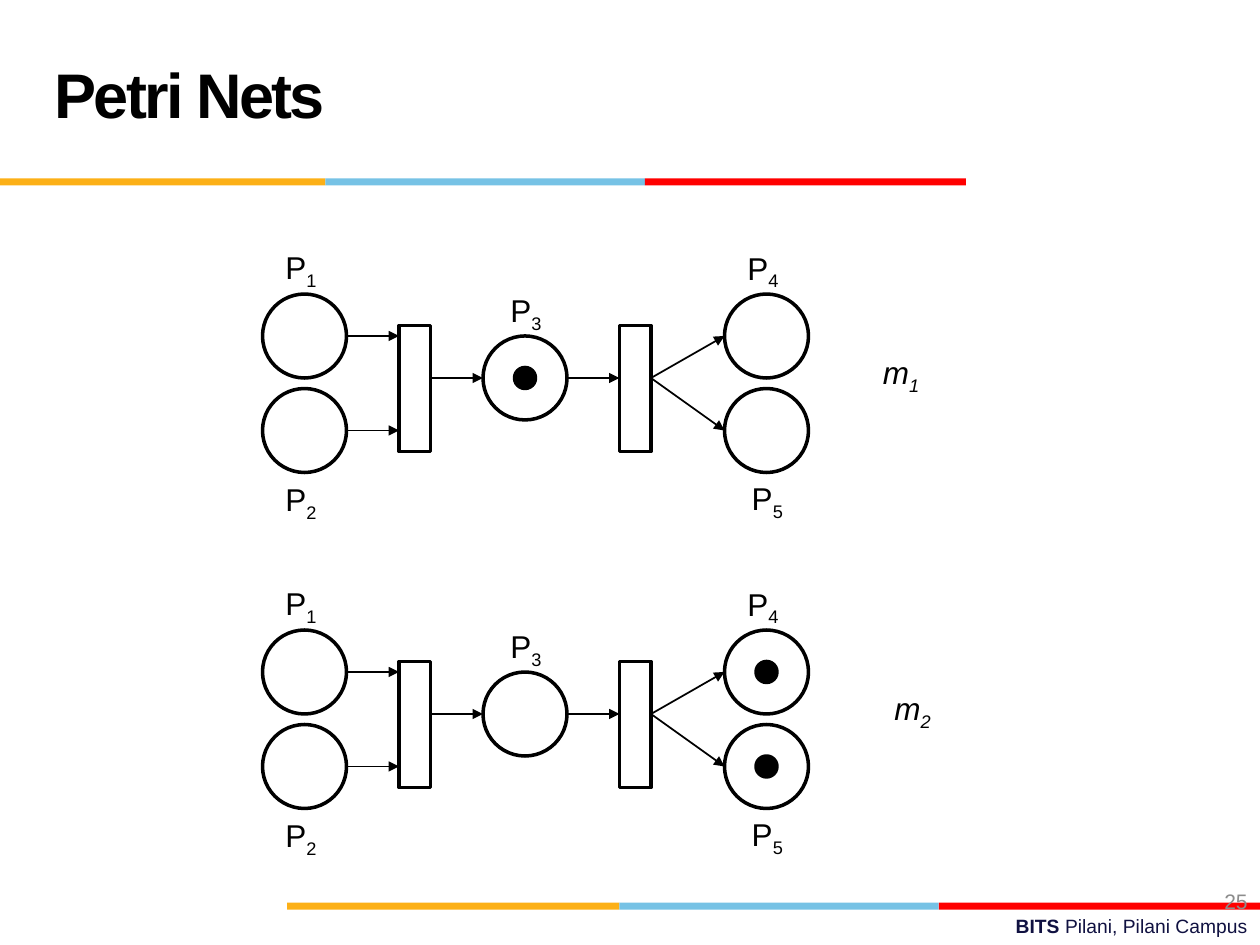
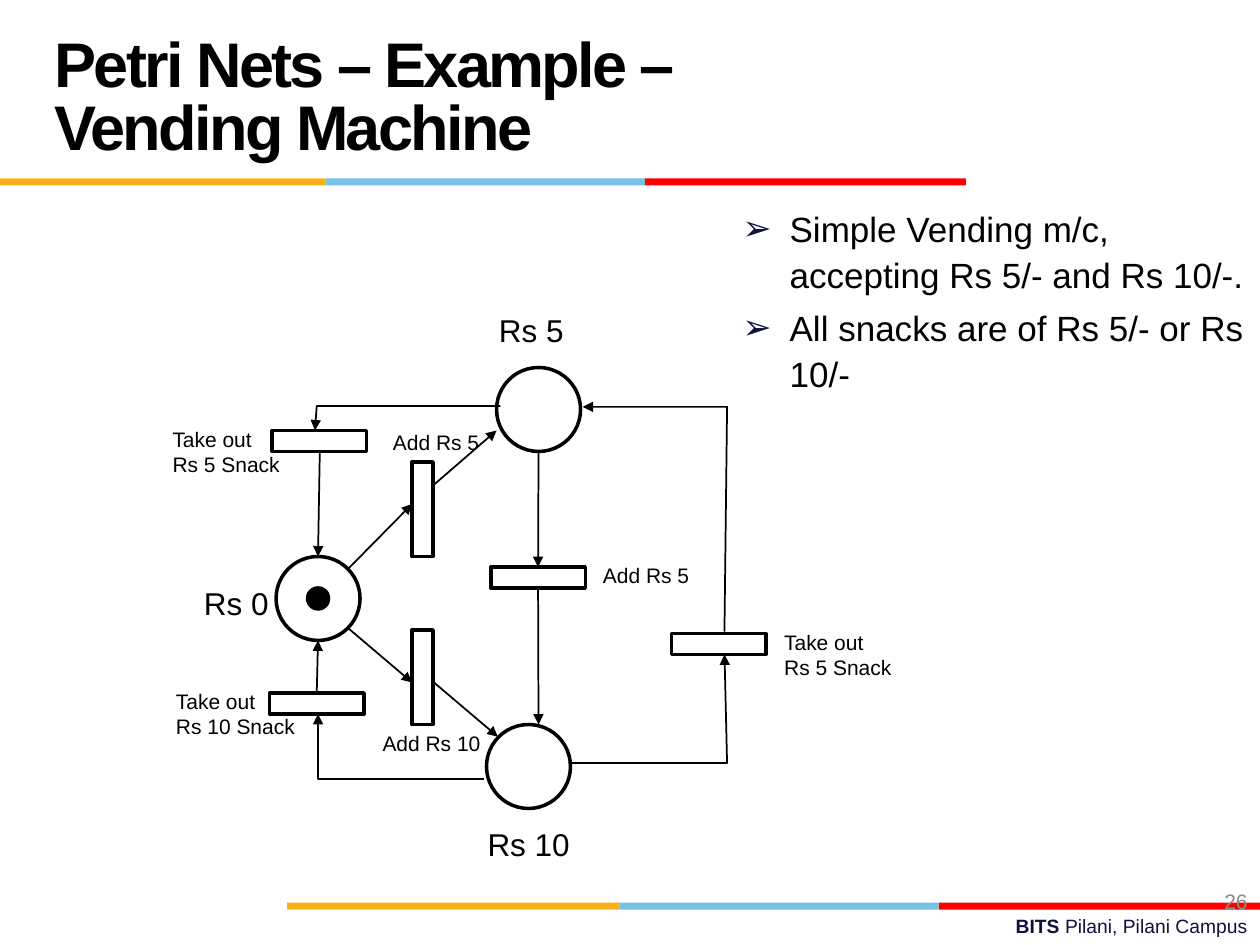
from lxml import etree
from pptx import Presentation
from pptx.dml.color import RGBColor
from pptx.enum.shapes import MSO_CONNECTOR, MSO_SHAPE
from pptx.enum.text import MSO_ANCHOR, MSO_AUTO_SIZE, PP_ALIGN
from pptx.oxml.ns import qn
from pptx.util import Pt

BLACK = RGBColor(0x00, 0x00, 0x00)
GREY = RGBColor(0x8C, 0x8C, 0x8C)
NAVY = RGBColor(0x10, 0x11, 0x41)
ORANGE = RGBColor(0xFC, 0xB0, 0x17)
BLUE = RGBColor(0x76, 0xC2, 0xE5)
RED = RGBColor(0xFF, 0x00, 0x00)

FONT = "Arial"
RECT, OVAL = MSO_SHAPE.RECTANGLE, MSO_SHAPE.OVAL
STRAIGHT = MSO_CONNECTOR.STRAIGHT
LEFT, RIGHT = PP_ALIGN.LEFT, PP_ALIGN.RIGHT
TOP, MIDDLE = MSO_ANCHOR.TOP, MSO_ANCHOR.MIDDLE
NO_AUTOFIT = MSO_AUTO_SIZE.NONE

PLACE = 48          # diameter of a place
TOKEN = 12          # diameter of a token
BAR = (54, 12)      # horizontal transition of the vending machine
POST = (12, 54)     # vertical transition of the vending machine


def place_box(sp, x, y, w, h):
    sp.left, sp.top, sp.width, sp.height = Pt(x), Pt(y), Pt(w), Pt(h)


def style(font, size, color=BLACK, bold=False, italic=False):
    font.name, font.size = FONT, Pt(size)
    font.bold, font.italic = bold, italic
    font.color.rgb = color


def shape(s, kind, x, y, w, h, fill=None, outlined=True):
    sp = s.shapes.add_shape(kind, Pt(x), Pt(y), Pt(w), Pt(h))
    sp.shadow.inherit = False
    if fill is None:
        sp.fill.background()
    else:
        sp.fill.solid()
        sp.fill.fore_color.rgb = fill
    if outlined:
        sp.line.color.rgb = BLACK
        sp.line.width = Pt(2)
    else:
        sp.line.fill.background()


def place(s, x, y, token=False):
    """Draw a Petri net place, with a token in its centre if marked."""
    shape(s, OVAL, x, y, PLACE, PLACE)
    if token:
        inset = (PLACE - TOKEN) / 2
        shape(s, OVAL, x + inset, y + inset, TOKEN, TOKEN, BLACK)


def transition(s, x, y, size):
    shape(s, RECT, x, y, *size)


def arrow(s, *points):
    """Draw a straight arrow between two points, or a bent one through more."""
    points = [(Pt(x), Pt(y)) for x, y in points]
    if len(points) == 2:
        sp = s.shapes.add_connector(STRAIGHT, *points[0], *points[1])
    else:
        builder = s.shapes.build_freeform(*points[0])
        builder.add_line_segments(points[1:], close=False)
        sp = builder.convert_to_shape()
        sp.fill.background()
    sp.line.color.rgb = BLACK
    sp.line.width = Pt(1)
    etree.SubElement(sp.line._get_or_add_ln(), qn("a:tailEnd"), type="triangle")
    etree.SubElement(sp._element.spPr, qn("a:effectLst"))


def text_box(s, x, y, w, h, text, wrap=True, align=LEFT, anchor=TOP):
    sp = s.shapes.add_textbox(Pt(x), Pt(y), Pt(w), Pt(h))
    tf = sp.text_frame
    tf.word_wrap = wrap
    tf.vertical_anchor = anchor
    tf.text = text
    for p in tf.paragraphs:
        p.alignment = align
    return tf


def label(s, text, x, y, w, size=18, sub="", italic=False):
    h = 29 if size == 18 else 7.2 + 14.4 * len(text.split("\n"))
    tf = text_box(s, x, y, w, h, text, wrap=False)
    if sub:
        r = tf.paragraphs[0].add_run()
        r.text = sub
        r._r.get_or_add_rPr().set("baseline", "-25000")
    for p in tf.paragraphs:
        for r in p.runs:
            style(r.font, size, italic=italic)


def bands(s, y, edges):
    for color, left, right in zip((ORANGE, BLUE, RED), edges, edges[1:]):
        shape(s, RECT, left, y, right - left, 4, color, outlined=False)


def footer(s, number):
    tf = text_box(s, 258, 519, 462, 21, "BITS ", align=RIGHT)
    p = tf.paragraphs[0]
    p.add_run().text = "Pilani, Pilani Campus"
    for r, bold in zip(p.runs, (True, False)):
        style(r.font, 11, NAVY, bold)
    tf = text_box(s, 552, 500.5, 168, 29, str(number), align=RIGHT, anchor=MIDDLE)
    style(tf.paragraphs[0].runs[0].font, 12, GREY)


def title(s, text):
    sp = s.shapes.title
    place_box(sp, 24, 12, 498, 90)
    tf = sp.text_frame
    tf.text = text
    tf.auto_size = NO_AUTOFIT
    tf.vertical_anchor = MIDDLE
    p = tf.paragraphs[0]
    p.alignment = LEFT
    p.line_spacing = Pt(36)
    r = p.runs[0]
    style(r.font, 36, bold=True)
    r._r.get_or_add_rPr().set("spc", "-150")


def bullets(s, items):
    sp = s.placeholders[1]
    place_box(sp, 417, 112.5, 303, 120)
    tf = sp.text_frame
    tf.text = "\n".join(items)
    tf.auto_size = NO_AUTOFIT
    for i, p in enumerate(tf.paragraphs):
        pPr = p._p.get_or_add_pPr()
        pPr.set("marL", str(Pt(27)))
        pPr.set("indent", str(-Pt(27)))
        color = etree.SubElement(pPr, qn("a:buClr"))
        etree.SubElement(color, qn("a:srgbClr"), val=str(NAVY))
        etree.SubElement(pPr, qn("a:buChar"), char="➢")
        p.line_spacing = 1.1
        p.space_before = Pt(4 if i else 0)
        style(p.runs[0].font, 20)


def new_slide(prs, layout, heading, number):
    s = prs.slides.add_slide(prs.slide_layouts[layout])
    bands(s, 102, (0, 186, 368.5, 552))
    bands(s, 515.75, (164, 354, 536.5, 720))
    title(s, heading)
    footer(s, number)
    return s


def petri_net(s, top, marked, marking, marking_x):
    """Draw the five-place net with tokens in the marked places."""
    places = {"1": (150, 0), "2": (150, 54), "3": (276, 24),
              "4": (414, 0), "5": (414, 54)}
    labels = {"1": (156, -30), "2": (156, 103), "3": (284.5, -5),
              "4": (420, -29.5), "5": (422.5, 102)}
    arrows = [(198, 24, 228, 24), (198, 78, 228, 78), (246, 48, 276, 48),
              (324, 48, 354, 48), (372, 48, 414, 24), (372, 48, 414, 78)]
    for x in (228, 354):
        transition(s, x, top + 18, (18, 72))
    for name, (x, y) in places.items():
        place(s, x, top + y, name in marked)
    for x1, y1, x2, y2 in arrows:
        arrow(s, (x1, top + y1), (x2, top + y2))
    for name, (x, y) in labels.items():
        label(s, "P", x, top + y, 33, sub=name)
    label(s, "m", marking_x, top + 30, 36.5, sub=marking, italic=True)


def vending_machine(s):
    place(s, 157.75, 318, token=True)
    place(s, 283.75, 210)
    place(s, 278, 414)
    for x, y in ((155.5, 246), (154, 396), (280.5, 324), (383.75, 362)):
        transition(s, x, y, BAR)
    for y in (264, 360):
        transition(s, 235.5, y, POST)

    arrow(s, (199, 325), (235.5, 288))
    arrow(s, (248, 277), (283.75, 246))
    arrow(s, (199, 359), (235.5, 390))
    arrow(s, (248, 390), (284.5, 421))
    arrow(s, (307.75, 258), (307.5, 324))
    arrow(s, (307.5, 336), (307.75, 414))
    arrow(s, (182.75, 258), (181.75, 318))
    arrow(s, (181, 396), (181.75, 366))
    arrow(s, (286, 232), (181, 232), (180, 246))
    arrow(s, (276.5, 445), (181.75, 445), (181.75, 408))
    arrow(s, (325, 436), (415.5, 436), (414, 374))
    arrow(s, (414, 361), (415.5, 232.5), (333, 232.5))

    label(s, "Rs 0", 109.5, 330, 52)
    label(s, "Rs 5", 278, 174, 52)
    label(s, "Rs 10", 271.5, 468, 62)
    label(s, "Add Rs 5", 217.5, 242, 64, 12)
    label(s, "Add Rs 5", 337.5, 318, 64, 12)
    label(s, "Add Rs 10", 211.5, 414, 71, 12)
    label(s, "Take out\nRs 5 Snack", 91.5, 240, 76, 12)
    label(s, "Take out\nRs 10 Snack", 93.5, 390, 83, 12)
    label(s, "Take out\nRs 5 Snack", 441, 356, 76, 12)


def main():
    prs = Presentation()
    prs.slide_width, prs.slide_height = Pt(720), Pt(540)

    s = new_slide(prs, 5, "Petri Nets", 25)
    petri_net(s, 168, marked="3", marking="1", marking_x=497.5)
    petri_net(s, 360, marked="45", marking="2", marking_x=504)

    s = new_slide(prs, 1, "Petri Nets – Example – Vending Machine", 26)
    vending_machine(s)
    bullets(s, ["Simple Vending m/c, accepting Rs 5/- and Rs 10/-.",
                "All snacks are of Rs 5/- or Rs 10/-"])

    prs.save("out.pptx")


if __name__ == "__main__":
    main()
